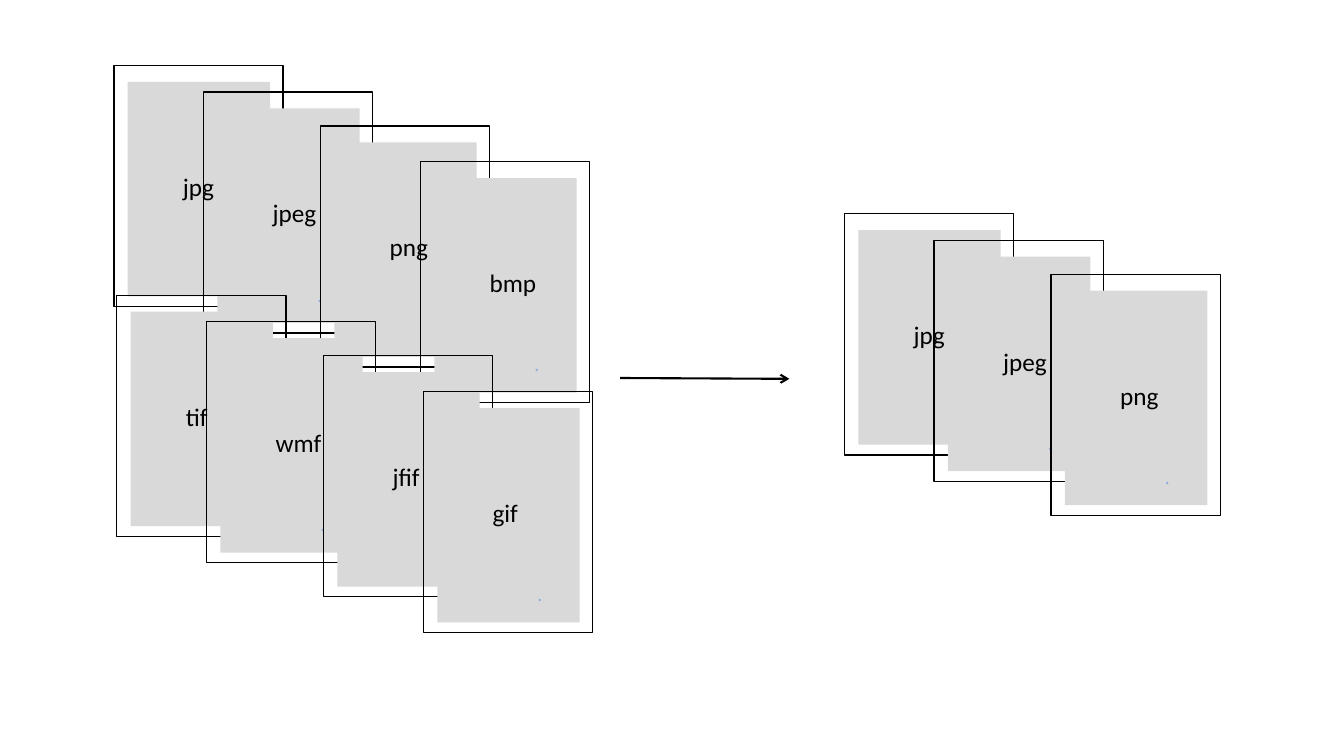
import pptx
import pptx.dml.color
import pptx.enum.shapes
import pptx.enum.text
import pptx.util
from pptx.oxml.ns import qn
from lxml import etree

BLACK = pptx.dml.color.RGBColor(0x00, 0x00, 0x00)
GREY = pptx.dml.color.RGBColor(0xD9, 0xD9, 0xD9)
BLUE = pptx.dml.color.RGBColor(0x8F, 0xAA, 0xDC)
RECT = pptx.enum.shapes.MSO_SHAPE.RECTANGLE

prs = pptx.Presentation()
prs.slide_width = pptx.util.Inches(13.33)
prs.slide_height = pptx.util.Inches(7.5)
s = prs.slides.add_slide(prs.slide_layouts[6])

# The slide is a grid of 160 columns by 90 rows of square cells
CELL = prs.slide_height / 90


def cells(*counts):
    return [round(n * CELL) for n in counts]


def add_label(grp, box, text, size, color):
    """Add a text box that grows with its single line of text."""
    tf = grp.shapes.add_textbox(*cells(*box)).text_frame
    tf.auto_size = pptx.enum.text.MSO_AUTO_SIZE.SHAPE_TO_FIT_TEXT
    tf.word_wrap = False
    p = tf.paragraphs[0]
    p.text = text
    p.font.name = "Calibri"
    p.font.size = pptx.util.Pt(size)
    p.font.color.rgb = color
    return tf


arrow = s.shapes.add_connector(pptx.enum.shapes.MSO_CONNECTOR.STRAIGHT,
                               *cells(73.8, 45, 93.95, 45.1))
arrow.line.color.rgb = BLACK
arrow.line.width = pptx.util.Pt(1.5)
etree.SubElement(arrow.line._get_or_add_ln(), qn("a:tailEnd"), type="arrow")
etree.SubElement(arrow._element.spPr, qn("a:effectLst"))

# Each stack: left, top, and its cards from back to front
stacks = [
    (100.5, 25.45, ["jpg", "jpeg", "png"]),
    (13.55, 7.8, ["jpg", "jpeg", "png", "bmp"]),
    (13.9, 35.15, ["tif", "wmf", "jfif", "gif"]),
]
steps = [(0, 0), (10.67, 3.15), (24.6, 7.2), (36.5, 11.45)]
word_widths = {"jpg": 6.2, "jpeg": 7.7, "png": 7.05, "bmp": 8.05,
               "tif": 5.1, "wmf": 7.9, "jfif": 5.75, "gif": 5.5}

for left, top, words in stacks:
    for i, (word, (dx, dy)) in enumerate(zip(words, steps)):
        x, y = left + dx, top + dy
        grp = s.shapes.add_group_shape()

        frame = grp.shapes.add_shape(RECT, *cells(x, y, 20.15, 28.7))
        frame.shadow.inherit = False
        frame.fill.background()
        frame.line.color.rgb = BLACK
        frame.line.width = pptx.util.Pt(1)

        page = grp.shapes.add_shape(RECT, *cells(x + 1.65, y + 1.95, 16.95, 25.55))
        page.shadow.inherit = False
        page.fill.solid()
        page.fill.fore_color.rgb = GREY
        page.line.fill.background()

        if i > 0:
            dot = add_label(grp, (x + 13.55, y + 22.1, 1.2, 4.1), ".", 14, BLUE)
            dot.word_wrap = True
            dot.margin_left = dot.margin_right = 0
        add_label(grp, (x + 7.05, y + 12, word_widths[word], 4.8), word, 18, BLACK)

prs.save("out.pptx")
